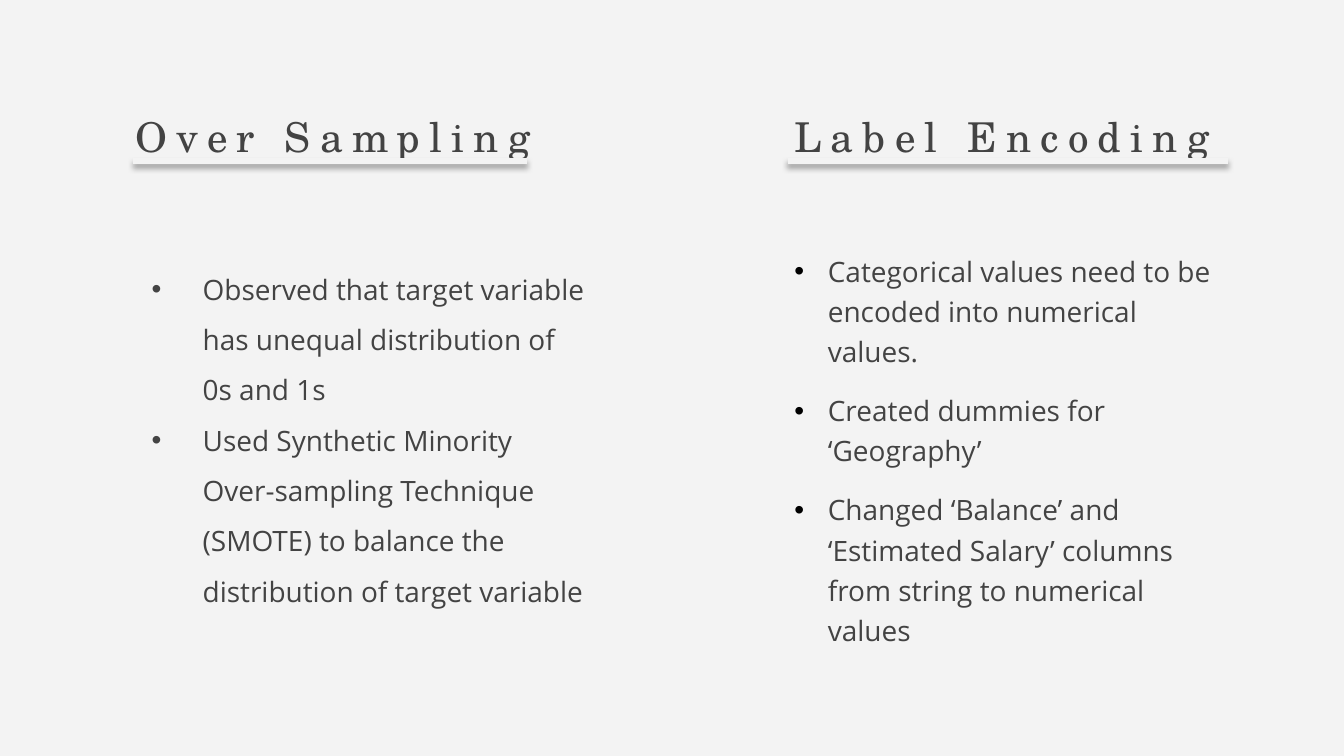
from dataclasses import dataclass

from lxml import etree
from pptx import Presentation
from pptx import util as u
from pptx.dml.color import RGBColor
from pptx.enum import shapes, text
from pptx.oxml.ns import qn

HUES = {"back": "F3F3F3", "ink": "434343", "black": "000000"}
HEAD, BODY = "TeX Gyre Schola", "Open Sans"


@dataclass
class Column:
    left: float
    head: str
    width: float
    span: float
    pad: tuple[float, float]
    align: text.PP_ALIGN
    rule: tuple[float, float]
    points: list[str]
    indent: tuple[float, float]
    lead: float
    gap: float
    dot: str


COLS = [
    Column(0.91, "Over Sampling", 3.26, 3.56, (0.1, 0.1), text.PP_ALIGN.LEFT,
           (0.99, 3.92),
           ["Observed that target variable has unequal distribution of 0s and 1s",
            "Used Synthetic Minority Over-sampling Technique (SMOTE) to balance "
            "the distribution of target variable"],
           (0.5, -0.38), 1.5, 0, "ink"),
    Column(5.83, "Label Encoding", 3.39, 3.39, (0.08, 0.04), text.PP_ALIGN.JUSTIFY,
           (5.86, 9.14),
           ["Categorical values need to be encoded into numerical values.",
            "Created dummies for ‘Geography’",
            "Changed ‘Balance’ and ‘Estimated Salary’ columns from string to "
            "numerical values"],
           (0.25, -0.25), 1.2, 10, "black"),
]


def hue(name: str) -> RGBColor:
    return RGBColor.from_string(HUES[name])


def add(node, tag: str, **attrs: str):
    return etree.SubElement(node, qn(tag), attrs)


def frame(box, pad: tuple[float, float], anchor):
    body = box.text_frame
    body.word_wrap = True
    body.auto_size = text.MSO_AUTO_SIZE.NONE
    body.vertical_anchor = anchor
    body.margin_left = body.margin_right = u.Inches(pad[0])
    body.margin_top = body.margin_bottom = u.Inches(pad[1])
    return body


def write(para, words: str, face: str, size: float):
    run = para.add_run()
    run.text = words
    run.font.name = face
    run.font.size = u.Pt(size)
    run.font.color.rgb = hue("ink")
    return run


def draw_head(box, col: Column) -> None:
    box.left, box.top = u.Inches(col.left), u.Inches(0.48)
    box.width, box.height = u.Inches(col.width), u.Inches(1.07)
    para = frame(box, col.pad, text.MSO_ANCHOR.MIDDLE).paragraphs[0]
    para.alignment = col.align
    run = write(para, col.head, HEAD, 22)
    run.font._element.set("spc", "500")


def draw_list(slide, col: Column) -> None:
    box = slide.shapes.add_textbox(u.Inches(col.left), u.Inches(1.8),
                                   u.Inches(col.span), u.Inches(3.58))
    body = frame(box, col.pad, text.MSO_ANCHOR.TOP)
    for i, words in enumerate(col.points):
        para = body.add_paragraph() if i else body.paragraphs[0]
        para.line_spacing = col.lead
        para.space_before = u.Pt(col.gap if i else 0)
        props = para._p.get_or_add_pPr()
        props.set("marL", str(u.Inches(col.indent[0])))
        props.set("indent", str(u.Inches(col.indent[1])))
        add(add(props, "a:buClr"), "a:srgbClr", val=HUES[col.dot])
        add(props, "a:buFont", typeface="Arial")
        add(props, "a:buChar", char="•")
        write(para, words, BODY, 15)


def draw_rule(slide, col: Column) -> None:
    start, end = col.rule
    line = slide.shapes.add_connector(
        shapes.MSO_CONNECTOR.STRAIGHT,
        u.Inches(start), u.Inches(1.2), u.Inches(end), u.Inches(1.2))
    line.line.color.rgb = hue("back")
    line.line.width = u.Pt(3)
    glow = add(add(line._element.spPr, "a:effectLst"), "a:outerShdw",
               blurRad=str(u.Pt(3.1)), dist=str(u.Pt(1.8)),
               dir="5400000", rotWithShape="0")
    add(add(glow, "a:srgbClr", val=HUES["black"]), "a:alpha", val="35000")


def main() -> None:
    deck = Presentation()
    deck.slide_width = u.Inches(10)
    deck.slide_height = u.Inches(10) * 9 // 16
    slide = deck.slides.add_slide(deck.slide_layouts[5])
    slide.background.fill.solid()
    slide.background.fill.fore_color.rgb = hue("back")
    for i, col in enumerate(COLS):
        box = slide.shapes.add_textbox(0, 0, 0, 0) if i else slide.shapes.title
        draw_head(box, col)
        draw_list(slide, col)
    for col in COLS:
        draw_rule(slide, col)
    deck.save("out.pptx")


if __name__ == "__main__":
    main()
